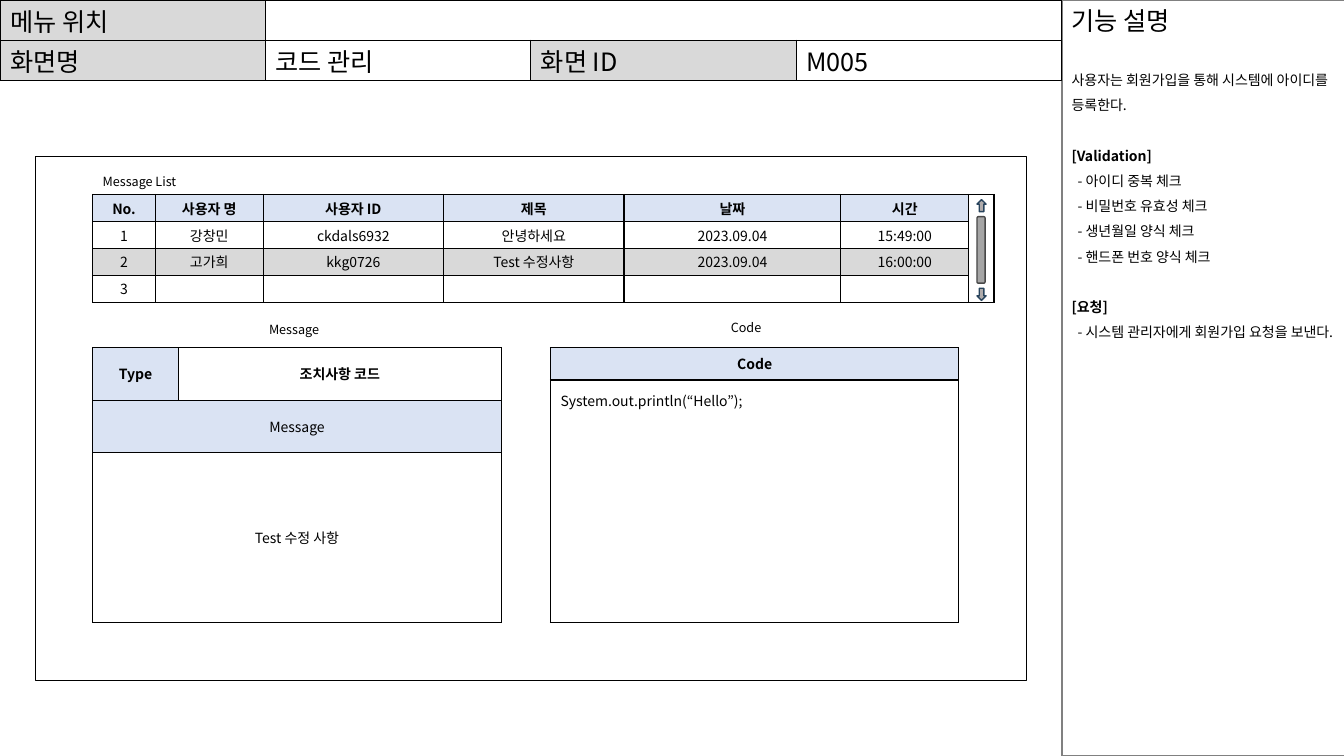
from lxml import etree
from pptx import Presentation
from pptx.dml.color import RGBColor
from pptx.enum.shapes import MSO_SHAPE
from pptx.enum.text import MSO_ANCHOR, PP_ALIGN
from pptx.oxml.ns import qn
from pptx.util import Inches, Pt

BLACK, WHITE, GRAY, BLUE = "000000", "FFFFFF", "D9D9D9", "DAE3F3"


def color(value):
    return RGBColor.from_string(value)


class ScreenSpec:
    """Style and element builders for one screen specification slide."""

    font = "Noto Sans CJK KR"

    def __init__(self, slide):
        self.slide = slide

    def format_paragraph(self, paragraph, size, bold=False, align=PP_ALIGN.LEFT):
        paragraph.alignment = align
        for run in paragraph.runs:
            run.font.size = Pt(size)
            run.font.bold = bold
            run.font.name = self.font
            run.font.color.rgb = color(BLACK)
            for tag in ("a:ea", "a:cs"):
                etree.SubElement(run.font._element, qn(tag), typeface=self.font)

    def title(self, text, left, top, width, height, size):
        title = self.slide.shapes.title
        title.left, title.top, title.width, title.height = map(Inches, (left, top, width, height))
        title.text_frame.text = text
        title.text_frame.vertical_anchor = MSO_ANCHOR.MIDDLE
        self.format_paragraph(title.text_frame.paragraphs[0], size)

    def shape(self, kind, left, top, width, height, fill, line, weight=1):
        shape = self.slide.shapes.add_shape(kind, *map(Inches, (left, top, width, height)))
        shape.shadow.inherit = False
        if fill:
            shape.fill.solid()
            shape.fill.fore_color.rgb = color(fill)
        else:
            shape.fill.background()
        shape.line.color.rgb = color(line)
        shape.line.width = Pt(weight)
        return shape

    def text(self, text, left, top, width, height, size=9):
        box = self.slide.shapes.add_textbox(*map(Inches, (left, top, width, height)))
        frame = box.text_frame
        frame.word_wrap = True
        frame.text = text
        for paragraph in frame.paragraphs:
            self.format_paragraph(paragraph, size)
        return frame

    def description(self, lines, left, top, width, height):
        frame = self.text("\n".join(lines), left, top, width, height, 10)
        for paragraph in frame.paragraphs:
            paragraph.line_spacing = Pt(18)
            if paragraph.text.startswith("["):
                paragraph.space_before = Pt(18)
                paragraph.runs[0].font.bold = True
            elif paragraph.text.startswith("-"):
                properties = paragraph._p.get_or_add_pPr()
                properties.set("marL", "0")
                properties.set("indent", str(Inches(0.06)))

    def border(self, cell):
        properties = cell._tc.get_or_add_tcPr()
        for position, side in enumerate(("a:lnL", "a:lnR", "a:lnT", "a:lnB")):
            line = etree.Element(qn(side), w=str(Pt(1)))
            fill = etree.SubElement(line, qn("a:solidFill"))
            etree.SubElement(fill, qn("a:srgbClr"), val=BLACK)
            properties.insert(position, line)

    def table(self, rows, left, top, widths, heights, fills, merges=(), size=10,
              bold=(), align=PP_ALIGN.CENTER, anchor=MSO_ANCHOR.MIDDLE, margin=0.03):
        bounds = map(Inches, (left, top, sum(widths), sum(heights)))
        table = self.slide.shapes.add_table(len(rows), len(widths), *bounds).table
        table.first_row = table.horz_banding = False
        for column, width in zip(table.columns, widths):
            column.width = Inches(width)
        for row, height in zip(table.rows, heights):
            row.height = Inches(height)
        for row_index, row in enumerate(rows):
            for column_index, text in enumerate(row):
                cell = table.cell(row_index, column_index)
                cell.text_frame.text = text
                cell.vertical_anchor = anchor
                cell.margin_top = cell.margin_bottom = Inches(margin)
                paragraph = cell.text_frame.paragraphs[0]
                paragraph.font.size = Pt(size)
                self.format_paragraph(paragraph, size, row_index in bold, align)
                cell.fill.solid()
                cell.fill.fore_color.rgb = color(fills.get((row_index, column_index), WHITE))
                self.border(cell)
        for first, last in merges:
            table.cell(*first).merge(table.cell(*last))
        return table


presentation = Presentation()
presentation.slide_width, presentation.slide_height = Inches(13.33), Inches(7.5)
spec = ScreenSpec(presentation.slides.add_slide(presentation.slide_layouts[5]))

spec.shape(MSO_SHAPE.RECTANGLE, 0.35, 1.55, 9.83, 5.2, WHITE, BLACK)

side_left, side_width = 10.53, 2.81
spec.title("기능 설명", side_left, 0, side_width, 0.4, 18)
spec.description([
    "사용자는 회원가입을 통해 시스템에 아이디를 등록한다.",
    "[Validation]",
    "- 아이디 중복 체크",
    "- 비밀번호 유효성 체크",
    "- 생년월일 양식 체크",
    "- 핸드폰 번호 양식 체크",
    "[요청]",
    "- 시스템 관리자에게 회원가입 요청을 보낸다.",
], side_left, 0.58, side_width, 3.1)
spec.shape(MSO_SHAPE.RECTANGLE, side_left, 0, side_width, 7.5, None, "808080", 1.5)

spec.table([["메뉴 위치", "", "", ""], ["화면명", "코드 관리", "화면 ID", "M005"]],
           0, 0, [side_left / 4] * 4, [0.4] * 2,
           {(0, 0): GRAY, (1, 0): GRAY, (1, 2): GRAY}, [((0, 1), (0, 3))],
           size=18, align=PP_ALIGN.LEFT, anchor=MSO_ANCHOR.TOP, margin=0.02)

message_rows = [
    ["No.", "사용자 명", "사용자 ID", "제목", "날짜", "시간", ""],
    ["1", "강창민", "ckdals6932", "안녕하세요", "2023.09.04", "15:49:00", ""],
    ["2", "고가희", "kkg0726", "Test 수정사항", "2023.09.04", "16:00:00", ""],
    ["3", "", "", "", "", "", ""],
]
row_fills = {(row, column): fill for row, fill in ((0, BLUE), (2, GRAY)) for column in range(6)}
spec.table(message_rows, 0.92, 1.93, [0.62, 1.07, 1.79, 1.79, 2.15, 1.27, 0.25],
           [1.07 / 4] * 4, row_fills, [((0, 6), (3, 6))], bold=(0,))

spec.shape(MSO_SHAPE.ROUNDED_RECTANGLE, 9.69, 2.15, 0.08, 0.66, "A5A5A5", "484848")
for arrow, top in ((MSO_SHAPE.UP_ARROW, 1.98), (MSO_SHAPE.DOWN_ARROW, 2.86)):
    spec.shape(arrow, 9.69, top, 0.09, 0.12, "AFABAB", "28445D")

spec.table([["Type", "조치사항 코드"], ["Message", ""], ["Test 수정 사항", ""]],
           0.92, 3.45, [0.85, 3.2], [0.52, 0.52, 1.69], {(0, 0): BLUE, (1, 0): BLUE},
           [((1, 0), (1, 1)), ((2, 0), (2, 1))], bold=(0,))

code_table = spec.table([["Code"], ["System.out.println(“Hello”);"]],
                        5.46, 3.45, [4.05], [0.32, 2.41], {(0, 0): BLUE}, bold=(0,))
code_cell = code_table.cell(1, 0)
code_cell.vertical_anchor = MSO_ANCHOR.TOP
code_cell.margin_top = Inches(0.1)
code_cell.text_frame.paragraphs[0].alignment = PP_ALIGN.LEFT

for label, left, top in (("Message List", 0.92, 1.68), ("Message", 2.57, 3.14), ("Code", 7.15, 3.12)):
    spec.text(label, left, top, 1.63, 0.25)

presentation.save("out.pptx")
